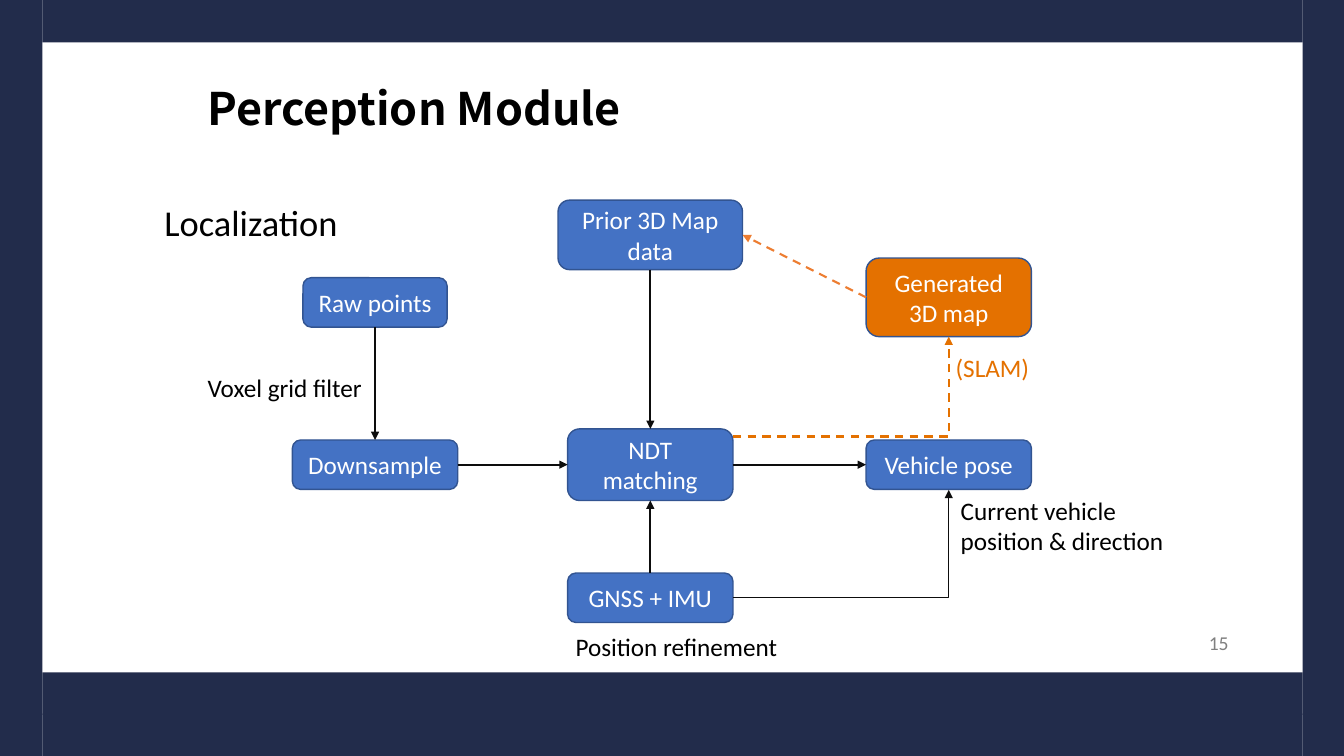
from dataclasses import dataclass
from typing import Optional

from lxml.etree import SubElement
from pptx import Presentation
from pptx.dml.color import RGBColor
from pptx.enum.dml import MSO_LINE_DASH_STYLE as Dash
from pptx.enum.shapes import MSO_CONNECTOR as Conn, MSO_SHAPE as Shape
from pptx.enum.text import MSO_ANCHOR as Anchor, MSO_AUTO_SIZE as Fit, PP_ALIGN as Align
from pptx.oxml.ns import qn
from pptx.util import Inches, Pt

COLORS = {
    "frame": "222C4B", "blue": "4472C4", "edge": "325491", "orange": "E47100",
    "map_update": "ED7D31", "arrow": "0D0D0D", "text": "000000",
    "white": "FFFFFF", "number": "808080",
}
LEFT_COL, MID_COL, RIGHT_COL = 3.72, 6.45, 9.41
FLOW_Y = 4.61
TOP, LEFT, BOTTOM, RIGHT = range(4)


@dataclass
class Node:
    text: str
    cx: float
    cy: float
    w: float = 1.64
    h: float = 0.49
    fill: str = "blue"


@dataclass
class Link:
    start: str
    start_side: int
    end: str
    end_side: int
    color: str = "arrow"
    dash: bool = False
    width: float = 1.5


@dataclass
class Label:
    text: str
    x: float
    y: float
    w: float
    h: float = 0.4
    color: str = "text"
    size: int = 18
    wrap: bool = False


BARS = [
    (0.42, 0, 12.5, 0.42), (0, 0, 0.42, 7.5), (12.92, 0, 0.42, 7.5),
    (0.42, 7.08, 12.5, 0.42), (0.42, 6.67, 12.5, 0.42),
]
NODES = {
    "raw": Node("Raw points", LEFT_COL, 3, w=1.43),
    "down": Node("Downsample", LEFT_COL, FLOW_Y),
    "prior": Node("Prior 3D Map data", MID_COL, 2.33, 1.83, 0.69),
    "ndt": Node("NDT matching", MID_COL, FLOW_Y, h=0.71),
    "gnss": Node("GNSS + IMU", MID_COL, 5.93),
    "pose": Node("Vehicle pose", RIGHT_COL, FLOW_Y),
    "generated": Node("Generated 3D map", RIGHT_COL, 2.95, h=0.78, fill="orange"),
}
LINKS = [
    Link("raw", BOTTOM, "down", TOP),
    Link("down", RIGHT, "ndt", LEFT),
    Link("gnss", TOP, "ndt", BOTTOM),
    Link("prior", BOTTOM, "ndt", TOP),
    Link("generated", LEFT, "prior", RIGHT, "map_update", True),
    Link("ndt", RIGHT, "pose", LEFT),
]
LABELS = [
    Label("Voxel grid filter", 1.96, 3.64, 1.75),
    Label("Position refinement", 5.61, 6.21, 2.23),
    Label("Current vehicle position & direction", 9.43, 4.86, 2.32, 0.71, wrap=True),
    Label("(SLAM)", 9.38, 3.45, 0.94, color="orange"),
    Label("15", 11.89, 6.21, 0.41, 0.34, "number", 14, True),
]


def rgb(name: str) -> RGBColor:
    return RGBColor.from_string(COLORS[name])


def place(sp, x: float, y: float, w: float, h: float) -> None:
    sp.left, sp.top, sp.width, sp.height = map(Inches, (x, y, w, h))


def write(sp, text: str, *, size: int = 18, color: str = "text", font: str = "Calibri",
          bold: bool = False, align=Align.LEFT, anchor=Anchor.TOP, wrap: bool = True,
          fit=Fit.NONE, spacing: Optional[float] = None):
    tf = sp.text_frame
    tf.word_wrap, tf.auto_size, tf.vertical_anchor = wrap, fit, anchor
    p = tf.paragraphs[0]
    p.alignment = align
    p.space_before = Pt(0)
    if spacing:
        p.line_spacing = spacing
    r = p.add_run()
    r.text = text
    r.font.name, r.font.size, r.font.bold = font, Pt(size), bold
    r.font.color.rgb = rgb(color)
    return p


def add_bar(s, box: tuple) -> None:
    sp = s.shapes.add_shape(Shape.RECTANGLE, *map(Inches, box))
    sp.shadow.inherit = False
    sp.fill.solid()
    sp.fill.fore_color.rgb = rgb("frame")
    sp.line.fill.background()


def add_node(s, n: Node):
    box = (n.cx - n.w / 2, n.cy - n.h / 2, n.w, n.h)
    sp = s.shapes.add_shape(Shape.ROUNDED_RECTANGLE, *map(Inches, box))
    sp.shadow.inherit = False
    sp.fill.solid()
    sp.fill.fore_color.rgb = rgb(n.fill)
    sp.line.color.rgb = rgb("edge")
    sp.line.width = Pt(1)
    write(sp, n.text, color="white", align=Align.CENTER, anchor=Anchor.MIDDLE)
    return sp


def style_arrow(c, color: str, width: float, dash: bool) -> None:
    c.line.color.rgb = rgb(color)
    c.line.width = Pt(width)
    if dash:
        c.line.dash_style = Dash.DASH
    SubElement(c.line._get_or_add_ln(), qn("a:tailEnd"), type="triangle")
    SubElement(c._element.spPr, qn("a:effectLst"))


def add_link(s, link: Link, shapes: dict) -> None:
    c = s.shapes.add_connector(Conn.STRAIGHT, 0, 0, 0, 0)
    c.begin_connect(shapes[link.start], link.start_side)
    c.end_connect(shapes[link.end], link.end_side)
    style_arrow(c, link.color, link.width, link.dash)


def add_corner(s, y1: float, y2: float, color: str, width: float, dash: bool = False) -> None:
    ends = (NODES["ndt"].cx + NODES["ndt"].w / 2, y1, RIGHT_COL, y2)
    c = s.shapes.add_connector(Conn.ELBOW, *map(Inches, ends))
    c._element.spPr.find(qn("a:prstGeom")).set("prst", "bentConnector2")
    style_arrow(c, color, width, dash)


def add_label(s, label: Label) -> None:
    sp = s.shapes.add_textbox(*map(Inches, (label.x, label.y, label.w, label.h)))
    write(sp, label.text, size=label.size, color=label.color, wrap=label.wrap,
          fit=Fit.SHAPE_TO_FIT_TEXT)


def main() -> None:
    prs = Presentation()
    prs.slide_width, prs.slide_height = Inches(13.33), Inches(7.5)
    s = prs.slides.add_slide(prs.slide_layouts[1])
    for box in BARS:
        add_bar(s, box)

    title, body = s.shapes.title, s.placeholders[1]
    place(title, 1.96, 0.81, 10.75, 0.91)
    write(title, "Perception Module", size=32, font="Noto Sans CJK SC", bold=True, spacing=0.9)
    place(body, 1.15, 1.72, 4.18, 0.69)
    p = write(body, "Localization", size=26, spacing=1.5)
    p.level = 1
    pPr = p._p.get_or_add_pPr()
    pPr.set("marL", str(Inches(0.38)))
    pPr.set("indent", "0")
    SubElement(pPr, qn("a:buNone"))

    shapes = {key: add_node(s, n) for key, n in NODES.items()}
    for link in LINKS:
        add_link(s, link, shapes)
    add_corner(s, 5.93, 4.86, "arrow", 0.5)
    add_corner(s, 4.33, 3.34, "orange", 1.5, dash=True)
    for label in LABELS:
        add_label(s, label)
    prs.save("out.pptx")


if __name__ == "__main__":
    main()
